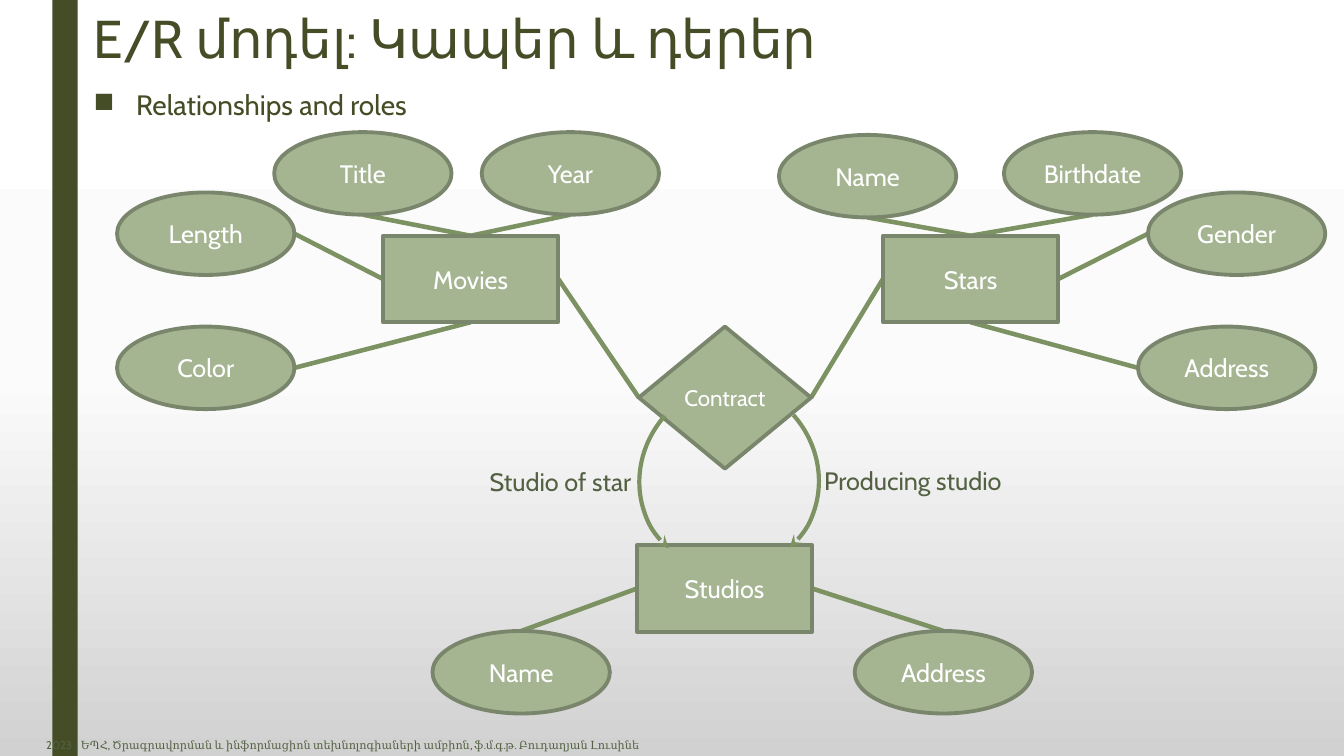
from copy import deepcopy
from dataclasses import dataclass

from lxml.etree import SubElement
from pptx import Presentation
from pptx.dml.color import RGBColor as Rgb
from pptx.enum.shapes import MSO_CONNECTOR as Link, MSO_SHAPE as Shape
from pptx.enum.text import MSO_ANCHOR as Anchor, MSO_AUTO_SIZE as AutoSize, PP_ALIGN as Align
from pptx.oxml.ns import qn
from pptx.util import Cm, Pt


@dataclass(frozen=True)
class Theme:
    dark: str = "444D26"
    muted: str = "536142"
    node: str = "A5B592"
    border: str = "7A866C"
    link: str = "7D9263"
    white: str = "FFFFFF"
    backdrop: tuple = ((0, "FFFFFF"), (0.5, "FBFBFB"), (1, "D1D1D1"))
    font: str = "Cabin"
    footer_font: str = "Cambria"
    title_size: float = 38
    bullet_size: float = 20
    node_size: float = 18
    contract_size: float = 16
    footer_size: float = 8
    border_width: float = 2.75
    link_width: float = 3.25
    role_width: float = 3


theme = Theme()
TOP, LEFT, BOTTOM, RIGHT = range(4)
SIDE_POINTS = ((0.5, 0), (0, 0.5), (0.5, 1), (1, 0.5))

deck = Presentation()
deck.slide_width, deck.slide_height = Cm(33.87), Cm(19.05)
slide = deck.slides.add_slide(deck.slide_layouts[6])
shapes = slide.shapes

backdrop = slide.background.fill
backdrop.gradient()
backdrop.gradient_angle = 270
stop_list = slide.element.find(".//" + qn("a:gsLst"))
stop_list.append(deepcopy(stop_list[0]))
for stop, (position, color) in zip(backdrop.gradient_stops, theme.backdrop):
    stop.position = position
    stop.color.rgb = Rgb.from_string(color)

side_bar = shapes.add_shape(Shape.RECTANGLE, Cm(1.32), 0, Cm(0.64), deck.slide_height)
side_bar.shadow.inherit = False
side_bar.fill.solid()
side_bar.fill.fore_color.rgb = Rgb.from_string(theme.dark)
side_bar.line.fill.background()


def write(frame, runs, size, color, align):
    paragraph = frame.paragraphs[0]
    paragraph.alignment = align
    for text, font in runs:
        run = paragraph.add_run()
        run.text = text
        run.font.name = font
        run.font.size = Pt(size)
        run.font.color.rgb = Rgb.from_string(color)
    return paragraph


def add_node(kind, label, left, top, width, height, size=theme.node_size):
    node = shapes.add_shape(kind, Cm(left), Cm(top), Cm(width), Cm(height))
    node.shadow.inherit = False
    node.fill.solid()
    node.fill.fore_color.rgb = Rgb.from_string(theme.node)
    node.line.color.rgb = Rgb.from_string(theme.border)
    node.line.width = Pt(theme.border_width)
    node.text_frame.vertical_anchor = Anchor.MIDDLE
    node.text_frame.margin_left = node.text_frame.margin_right = 0
    write(node.text_frame, [(label, theme.font)], size, theme.white, Align.CENTER)
    return node


heading = shapes.add_textbox(Cm(2.11), Cm(0.2), Cm(31.5), Cm(1.93)).text_frame
heading.word_wrap = True
heading_line = write(heading, [("E/R մոդել: Կապեր և դերեր", theme.font)],
                     theme.title_size, theme.dark, Align.LEFT)
heading_line.line_spacing = 0.89

topic = shapes.add_textbox(Cm(2.11), Cm(2.16), Cm(31.5), Cm(1.1)).text_frame
topic.word_wrap = True
topic_line = write(topic, [("Relationships and roles", theme.font)],
                   theme.bullet_size, theme.dark, Align.LEFT)
topic_line.line_spacing = 0.94
topic_line.space_before, topic_line.space_after = Pt(10), Pt(2)
topic_format = topic_line._p.get_or_add_pPr()
topic_format.set("marL", str(Cm(1.07)))
topic_format.set("indent", str(-Cm(1.07)))
SubElement(topic_format, qn("a:buChar")).set("char", "■")

footer = shapes.add_textbox(0, Cm(18.49), Cm(17.3), Cm(0.58)).text_frame
footer.word_wrap = True
credit = "- ԵՊՀ, Ծրագրավորման և ինֆորմացիոն տեխնոլոգիաների ամբիոն, ֆ.մ.գ.թ. Բուդաղյան Լուսինե"
write(footer, [("2023 ", theme.font), (credit, theme.footer_font)],
      theme.footer_size, theme.muted, Align.CENTER)

contract = add_node(Shape.DIAMOND, "Contract", 16.1, 8.23, 4.34, 3.58, theme.contract_size)

entities = [
    ("Movies", 9.65, 5.94, (RIGHT, LEFT), [
        ("Title", 6.91, 3.33, TOP, BOTTOM),
        ("Year", 12.14, 3.33, TOP, BOTTOM),
        ("Length", 2.95, 4.85, LEFT, RIGHT),
        ("Color", 2.95, 8.23, BOTTOM, RIGHT),
    ]),
    ("Stars", 22.25, 5.94, (LEFT, RIGHT), [
        ("Name", 19.63, 3.4, TOP, BOTTOM),
        ("Birthdate", 25.3, 3.33, TOP, BOTTOM),
        ("Gender", 28.93, 4.85, RIGHT, LEFT),
        ("Address", 28.68, 8.23, BOTTOM, LEFT),
    ]),
    ("Studios", 16.05, 13.74, None, [
        ("Name", 10.9, 15.9, LEFT, TOP),
        ("Address", 21.54, 15.9, RIGHT, TOP),
    ]),
]

links = []
for name, left, top, contract_sides, attributes in entities:
    entity = add_node(Shape.RECTANGLE, name, left, top, 4.42, 2.18)
    if contract_sides:
        links.append((entity, contract_sides[0], contract, contract_sides[1]))
    for label, x, y, entity_side, attribute_side in attributes:
        attribute = add_node(Shape.OVAL, label, x, y, 4.47, 2.08)
        links.append((entity, entity_side, attribute, attribute_side))

for entity, entity_side, target, target_side in links:
    across, down = SIDE_POINTS[target_side]
    end_x = target.left + int(target.width * across)
    end_y = target.top + int(target.height * down)
    link = shapes.add_connector(Link.STRAIGHT, entity.left, entity.top, end_x, end_y)
    link.begin_connect(entity, entity_side)
    if target is contract:
        link.end_connect(contract, target_side)
    link.line.color.rgb = Rgb.from_string(theme.link)
    link.line.width = Pt(theme.link_width)
    SubElement(link.element.spPr, qn("a:effectLst"))
    contract.element.addprevious(link.element)

roles = [
    ("Studio of star", 12.09, 11.63, 4.14, 16.18, 9.55, 221.5, False),
    ("Producing studio", 20.52, 11.61, 5.03, 16, 9.53, 138.5, True),
]
for role, left, top, width, arc_left, arc_top, turn, mirrored in roles:
    arc = shapes.add_shape(Shape.ARC, Cm(arc_left), Cm(arc_top), Cm(4.57), Cm(4.88))
    arc.shadow.inherit = False
    arc.rotation = turn
    if mirrored:
        arc.element.spPr.xfrm.set("flipH", "1")
    arc.fill.background()
    arc.line.color.rgb = Rgb.from_string(theme.link)
    arc.line.width = Pt(theme.role_width)
    SubElement(arc.element.spPr.find(qn("a:ln")), qn("a:headEnd")).set("type", "stealth")
    caption = shapes.add_textbox(Cm(left), Cm(top), Cm(width), Cm(1.02)).text_frame
    caption.word_wrap = False
    caption.auto_size = AutoSize.SHAPE_TO_FIT_TEXT
    write(caption, [(role, theme.font)], theme.node_size, theme.muted, Align.LEFT)

deck.save("out.pptx")
